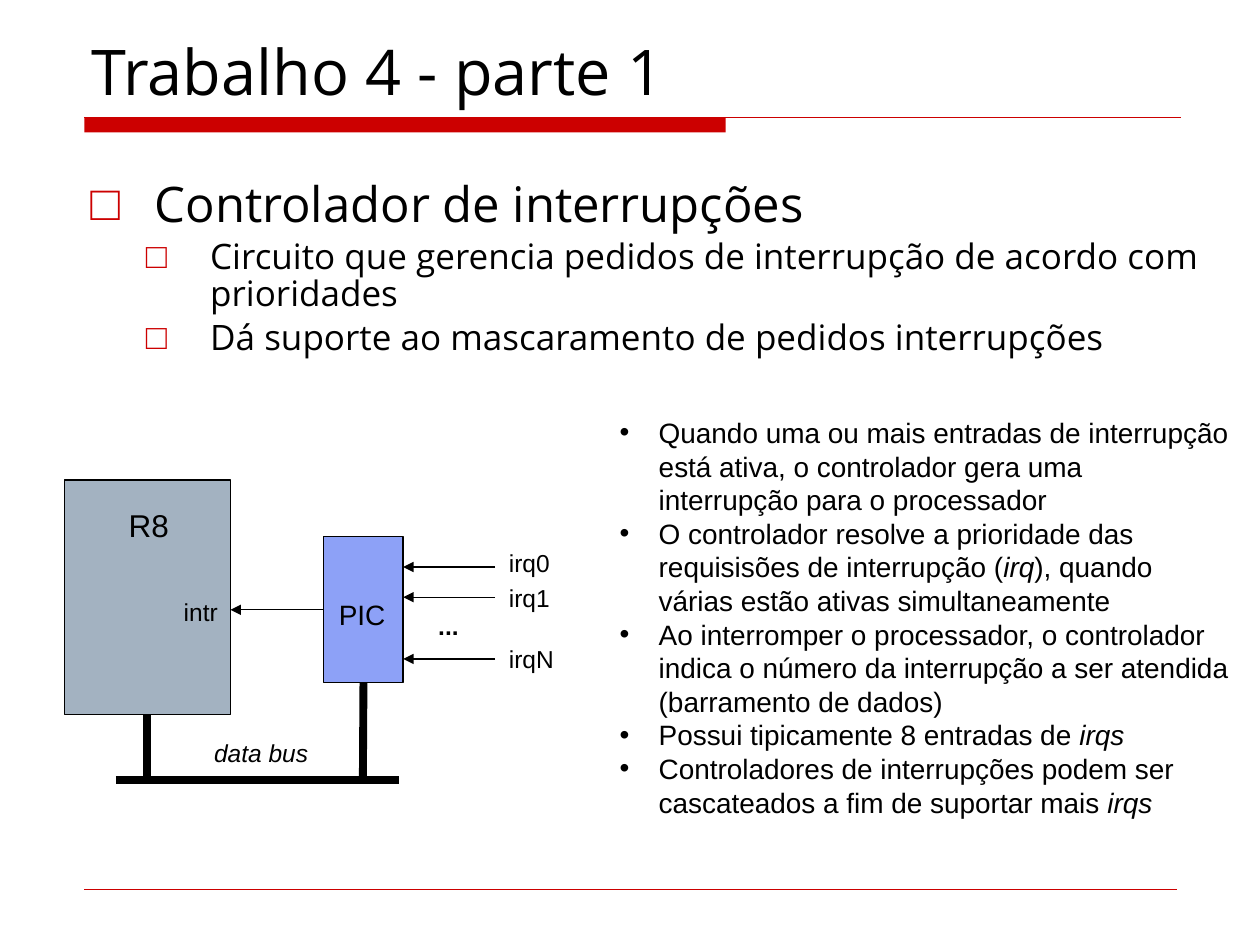
from dataclasses import dataclass
from typing import NamedTuple, Optional

from lxml.etree import SubElement
from pptx import Presentation
from pptx.dml.color import RGBColor
from pptx.enum.shapes import MSO_CONNECTOR as Connector, MSO_SHAPE as Preset
from pptx.enum.text import MSO_ANCHOR as Anchor, MSO_AUTO_SIZE as AutoSize, PP_ALIGN as Align
from pptx.oxml.ns import qn
from pptx.util import Inches, Pt

COLUMNS, ROWS = 100, 75  # grid over the slide
CELL = Inches(0.1)
BOTTOM, LEFT = 2, 1  # connection sites


@dataclass(frozen=True)
class Theme:
    red: str = "CC0000"
    black: str = "000000"
    processor: str = "A3B2C1"
    controller: str = "8DA1F7"
    heading_font: str = "Open Sans"
    text_font: str = "Arial"
    title: int = 36
    topic: int = 28
    subtopic: int = 20
    name: int = 18
    notes: int = 16
    signal: int = 14
    hairline: float = 0.25
    thin: float = 0.75
    bus: float = 4.5


THEME = Theme()


class Area(NamedTuple):
    column: float
    row: float
    columns: float
    rows: float


class Point(NamedTuple):
    column: float
    row: float


@dataclass(frozen=True)
class Style:
    size: int
    font: str = THEME.text_font
    bold: bool = False
    italic: bool = False
    align: Align = Align.LEFT


@dataclass(frozen=True)
class Bullet:
    char: str
    indent: float
    hanging: float
    color: str = THEME.black
    space: float = 0
    level: int = 0


class Label(NamedTuple):
    text: str
    area: Area
    style: Style


def cells(count: float) -> int:
    return round(count * CELL)


def rgb(color: str) -> RGBColor:
    return RGBColor.from_string(color)


def add_box(page, area: Area, wrap: bool = True, grow: bool = True):
    box = page.shapes.add_textbox(*map(cells, area))
    box.text_frame.word_wrap = wrap
    box.text_frame.auto_size = AutoSize.SHAPE_TO_FIT_TEXT if grow else AutoSize.NONE
    return box.text_frame


def write(para, text: str, style: Style) -> None:
    """Write text; parts between asterisks are italic."""
    para.alignment = style.align
    para.font.size, para.font.name = Pt(style.size), style.font
    para.font.bold, para.font.italic = style.bold, style.italic
    para.font.color.rgb = rgb(THEME.black)
    for index, part in enumerate(text.split("*")):
        if part:
            span = para.add_run()
            span.text = part
            if index % 2:
                span.font.italic = True


def set_bullet(para, bullet: Bullet) -> None:
    para.level = bullet.level
    para.space_before = Pt(bullet.space)
    props = para._p.get_or_add_pPr()
    props.set("marL", str(cells(bullet.indent)))
    props.set("indent", str(-cells(bullet.hanging)))
    color = SubElement(props, qn("a:buClr"))
    SubElement(color, qn("a:srgbClr"), val=bullet.color)
    SubElement(props, qn("a:buFont"), typeface=THEME.text_font)
    SubElement(props, qn("a:buChar"), char=bullet.char)
    defaults = props.find(qn("a:defRPr"))
    if defaults is not None:
        props.append(defaults)  # must follow the bullet


def add_list(frame, items: list[tuple[str, Style, Bullet]], spacing: Optional[float] = None) -> None:
    for index, (text, style, bullet) in enumerate(items):
        para = frame.add_paragraph() if index else frame.paragraphs[0]
        write(para, text, style)
        para.line_spacing = spacing
        set_bullet(para, bullet)


def add_label(page, label: Label) -> None:
    write(add_box(page, label.area, wrap=False).paragraphs[0], label.text, label.style)


def add_block(page, area: Area, fill: str, outlined: bool = True):
    block = page.shapes.add_shape(Preset.RECTANGLE, *map(cells, area))
    block.shadow.inherit = False
    block.fill.solid()
    block.fill.fore_color.rgb = rgb(fill)
    if outlined:
        block.line.color.rgb = rgb(THEME.black)
        block.line.width = Pt(THEME.thin)
    else:
        block.line.fill.background()
    return block


def add_line(page, start: Point, end: Point, width: float, color: str = THEME.black, arrow: bool = False):
    line = page.shapes.add_connector(Connector.STRAIGHT, *map(cells, (*start, *end)))
    line.line.color.rgb = rgb(color)
    line.line.width = Pt(width)
    if arrow:
        SubElement(line.line._get_or_add_ln(), qn("a:tailEnd"), type="triangle")
    SubElement(line._element.spPr, qn("a:effectLst"))
    return line


def add_heading(page) -> None:
    add_block(page, Area(6.7, 9.3, 50.9, 1.2), THEME.red, outlined=False)
    add_line(page, Point(6.7, 9.3), Point(93.7, 9.3), THEME.thin, THEME.red)
    add_line(page, Point(6.7, 70.6), Point(93.4, 70.6), THEME.hairline, THEME.red)
    frame = add_box(page, Area(6.3, 3.3, 87.5, 5.8), grow=False)
    frame.vertical_anchor = Anchor.BOTTOM
    write(frame.paragraphs[0], "Trabalho 4 - parte 1", Style(THEME.title, THEME.heading_font))


def add_topics(page) -> None:
    topic = Style(THEME.topic, THEME.heading_font)
    subtopic = Style(THEME.subtopic, THEME.heading_font)
    outer = Bullet("□", 5.1, 5.1, THEME.red, 0.2 * THEME.topic)
    inner = Bullet("□", 9.5, 5.1, THEME.red, 0.2 * THEME.subtopic, level=1)
    add_list(add_box(page, Area(6.2, 13.9, 92, 18.8), grow=False), [
        ("Controlador de interrupções", topic, outer),
        ("Circuito que gerencia pedidos de interrupção de acordo com prioridades", subtopic, inner),
        ("Dá suporte ao mascaramento de pedidos interrupções", subtopic, inner),
    ], spacing=0.88)


def add_diagram(page) -> None:
    signal = Style(THEME.signal)
    bus_row = 61.9
    # Processor and interrupt controller
    processor = add_block(page, Area(5.1, 38.1, 13.2, 18.6), THEME.processor)
    controller = add_block(page, Area(25.7, 42.6, 6.3, 11.6), THEME.controller)
    request = add_line(page, Point(25.7, 48.4), Point(18.3, 48.4), THEME.thin, arrow=True)
    request.begin_connect(controller, LEFT)
    # Interrupt inputs
    for row in (45, 47.4, 52.3):
        add_line(page, Point(39.3, row), Point(32, row), THEME.thin, arrow=True)
    # Data bus
    for block, column, row in ((processor, 11.7, 56.7), (controller, 28.8, 54.2)):
        drop = add_line(page, Point(column, row), Point(column, bus_row), THEME.bus)
        drop.begin_connect(block, BOTTOM)
    add_line(page, Point(9.2, bus_row), Point(31.7, bus_row), THEME.bus)
    # Names
    for label in (
        Label("R8", Area(9.2, 39.7, 5.2, 4), Style(THEME.name, align=Align.CENTER)),
        Label("intr", Area(13.6, 46.9, 4.7, 3.4), signal),
        Label("PIC", Area(25.9, 46.9, 5.8, 3.7), Style(THEME.notes)),
        Label("...", Area(33.8, 48, 3.6, 3.4), Style(THEME.signal, bold=True)),
        Label("irq0", Area(39.4, 43, 5.3, 3.4), signal),
        Label("irq1", Area(39.4, 45.8, 5.3, 3.4), signal),
        Label("irqN", Area(39.4, 50.6, 5.6, 3.4), signal),
        Label("data bus", Area(16, 58.1, 9.5, 3.4), Style(THEME.signal, italic=True)),
    ):
        add_label(page, label)


def add_notes_list(page) -> None:
    style, bullet = Style(THEME.notes), Bullet("•", 3.1, 3.1)
    notes = (
        "Quando uma ou mais entradas de interrupção está ativa, o controlador gera uma interrupção para o processador",
        "O controlador resolve a prioridade das requisisões de interrupção (*irq*), quando várias estão ativas simultaneamente",
        "Ao interromper o processador, o controlador indica o número da interrupção a ser atendida (barramento de dados)",
        "Possui tipicamente 8 entradas de *irqs*",
        "Controladores de interrupções podem ser cascateados a fim de suportar mais *irqs*",
    )
    add_list(add_box(page, Area(48.2, 32.5, 50.3, 33.3)), [(note, style, bullet) for note in notes])


def main() -> None:
    deck = Presentation()
    deck.slide_width, deck.slide_height = cells(COLUMNS), cells(ROWS)
    page = deck.slides.add_slide(deck.slide_layouts[6])
    for draw in (add_heading, add_topics, add_diagram, add_notes_list):
        draw(page)
    deck.save("out.pptx")


if __name__ == "__main__":
    main()
